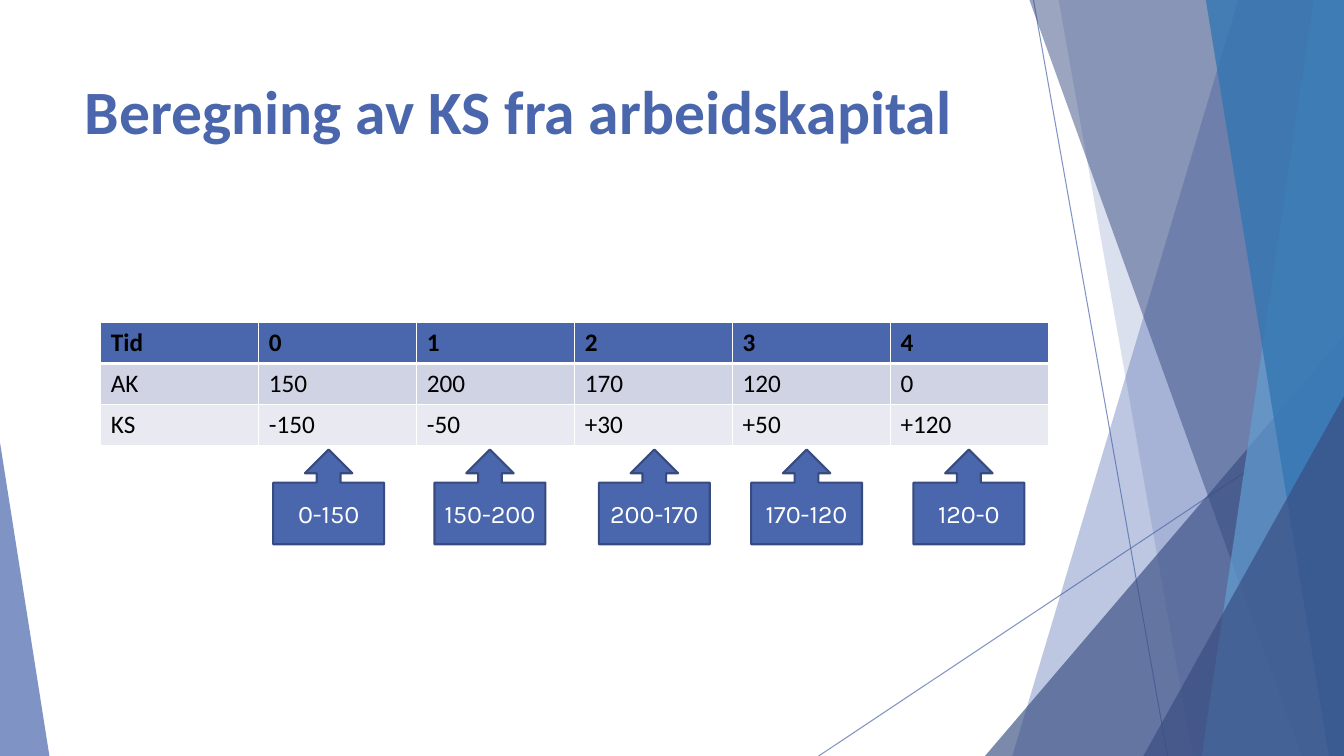
from lxml import etree
from pptx import Presentation
from pptx.dml.color import RGBColor
from pptx.enum.shapes import MSO_CONNECTOR, MSO_SHAPE
from pptx.enum.text import MSO_ANCHOR, PP_ALIGN
from pptx.oxml.ns import qn
from pptx.util import Inches, Pt

STRAIGHT = MSO_CONNECTOR.STRAIGHT
TRIANGLE = MSO_SHAPE.ISOSCELES_TRIANGLE
CALLOUT = MSO_SHAPE.UP_ARROW_CALLOUT
TOP, MIDDLE = MSO_ANCHOR.TOP, MSO_ANCHOR.MIDDLE
LEFT, CENTER = PP_ALIGN.LEFT, PP_ALIGN.CENTER

COLORS = {
    "blue": "4A66AC",
    "navy": "384C81",
    "outline": "374B7F",
    "sky": "629DD1",
    "ocean": "3477B2",
    "band_dark": "D0D3E3",
    "band_light": "E9EAF1",
    "white": "FFFFFF",
    "black": "000000",
}
WIDTH, HEIGHT = 13.33, 7.5
ROWS = [
    ["Tid", "0", "1", "2", "3", "4"],
    ["AK", "150", "200", "170", "120", "0"],
    ["KS", "-150", "-50", "+30", "+50", "+120"],
]
ROW_FILLS = ["blue", "band_dark", "band_light"]
CALLOUTS = [
    (2.71, "0-150"),
    (4.31, "150-200"),
    (5.94, "200-170"),
    (7.45, "170-120"),
    (9.06, "120-0"),
]


def rgb(name):
    return RGBColor.from_string(COLORS[name])


def set_alpha(fill_format_parent, percent):
    for color in fill_format_parent.iter(qn("a:srgbClr")):
        etree.SubElement(color, qn("a:alpha"), val=str(percent * 1000))


def write_text(frame, text, size=18, font="Calibri", color="black", bold=False,
               align=LEFT, anchor=TOP):
    frame.word_wrap = True
    frame.vertical_anchor = anchor
    paragraph = frame.paragraphs[0]
    paragraph.alignment = align
    run = paragraph.add_run()
    run.text = text
    run.font.size = Pt(size)
    run.font.name = font
    run.font.bold = bold
    run.font.color.rgb = rgb(color)


def paint_facet(shape, color, opacity):
    shape.shadow.inherit = False
    shape.fill.solid()
    shape.fill.fore_color.rgb = rgb(color)
    shape.line.fill.background()
    set_alpha(shape.fill._xPr, opacity)


def add_hairline(slide, start, end):
    line = slide.shapes.add_connector(STRAIGHT, *map(Inches, start + end))
    line.line.color.rgb = rgb("blue")
    line.line.width = Pt(0.75)
    properties = line._element.spPr
    set_alpha(properties, 70)
    etree.SubElement(properties, qn("a:effectLst"))


def add_band(slide, top_left, bottom_left, color, opacity):
    corners = [(top_left, 0), (WIDTH, 0), (WIDTH, HEIGHT), (bottom_left, HEIGHT)]
    points = [(Inches(x), Inches(y)) for x, y in corners]
    builder = slide.shapes.build_freeform(*points[0])
    builder.add_line_segments(points[1:], close=True)
    paint_facet(builder.convert_to_shape(), color, opacity)


def add_corner(slide, left, top, width, apex, color, opacity):
    box = (left, top, width, HEIGHT - top)
    shape = slide.shapes.add_shape(TRIANGLE, *map(Inches, box))
    shape.adjustments[0] = apex
    paint_facet(shape, color, opacity)


def add_backdrop(slide):
    add_hairline(slide, (10.25, 0), (11.58, HEIGHT))
    add_hairline(slide, (WIDTH, 4.03), (8.12, HEIGHT))
    add_band(slide, 12.28, 10.04, "blue", 36)
    add_band(slide, 10.5, 11.83, "blue", 20)
    add_corner(slide, 9.77, 3.33, 3.56, 1, "navy", 66)
    add_band(slide, 10.21, 12.91, "navy", 50)
    add_band(slide, 13.03, 11.92, "sky", 70)
    add_band(slide, 11.96, 13.18, "ocean", 80)
    add_corner(slide, 11.34, 3.93, 1.99, 1, "navy", 66)
    add_corner(slide, 0, 4.39, 0.49, 0, "blue", 70)


def add_title(slide, left, top, width, height):
    box = slide.shapes.add_textbox(*map(Inches, (left, top, width, height)))
    write_text(box.text_frame, "Beregning av KS fra arbeidskapital",
               size=44, color="blue", bold=True)


def set_borders(cell, top, bottom):
    properties = cell._tc.get_or_add_tcPr()
    sides = [("lnL", 1), ("lnR", 1), ("lnT", top), ("lnB", bottom)]
    for position, (side, points) in enumerate(sides):
        border = etree.Element(qn(f"a:{side}"), w=str(Pt(points)))
        fill = etree.SubElement(border, qn("a:solidFill"))
        etree.SubElement(fill, qn("a:srgbClr"), val=COLORS["white"])
        properties.insert(position, border)


def add_capital_table(slide, left, top, width, height):
    frame = slide.shapes.add_table(len(ROWS), len(ROWS[0]),
                                   *map(Inches, (left, top, width, height)))
    for row_index, values in enumerate(ROWS):
        for column_index, value in enumerate(values):
            cell = frame.table.cell(row_index, column_index)
            cell.fill.solid()
            cell.fill.fore_color.rgb = rgb(ROW_FILLS[row_index])
            set_borders(cell, top=3 if row_index == 1 else 1,
                        bottom=3 if row_index == 0 else 1)
            write_text(cell.text_frame, value, bold=row_index == 0)


def add_callouts(slide, top, width, height):
    for left, text in CALLOUTS:
        shape = slide.shapes.add_shape(CALLOUT, *map(Inches, (left, top, width, height)))
        shape.shadow.inherit = False
        shape.fill.solid()
        shape.fill.fore_color.rgb = rgb("blue")
        shape.line.color.rgb = rgb("outline")
        shape.line.width = Pt(1.5)
        frame = shape.text_frame
        frame.margin_left = frame.margin_right = Inches(0.05)
        write_text(frame, text, font="Karla", color="white", align=CENTER, anchor=MIDDLE)


def main():
    presentation = Presentation()
    presentation.slide_width = Inches(WIDTH)
    presentation.slide_height = Inches(HEIGHT)
    slide = presentation.slides.add_slide(presentation.slide_layouts[6])
    add_backdrop(slide)
    add_title(slide, 0.74, 0.67, 9.4, 1.44)
    add_capital_table(slide, 1, 3.2, 9.4, 1.22)
    add_callouts(slide, 4.46, 1.1, 0.94)
    presentation.save("out.pptx")


if __name__ == "__main__":
    main()
